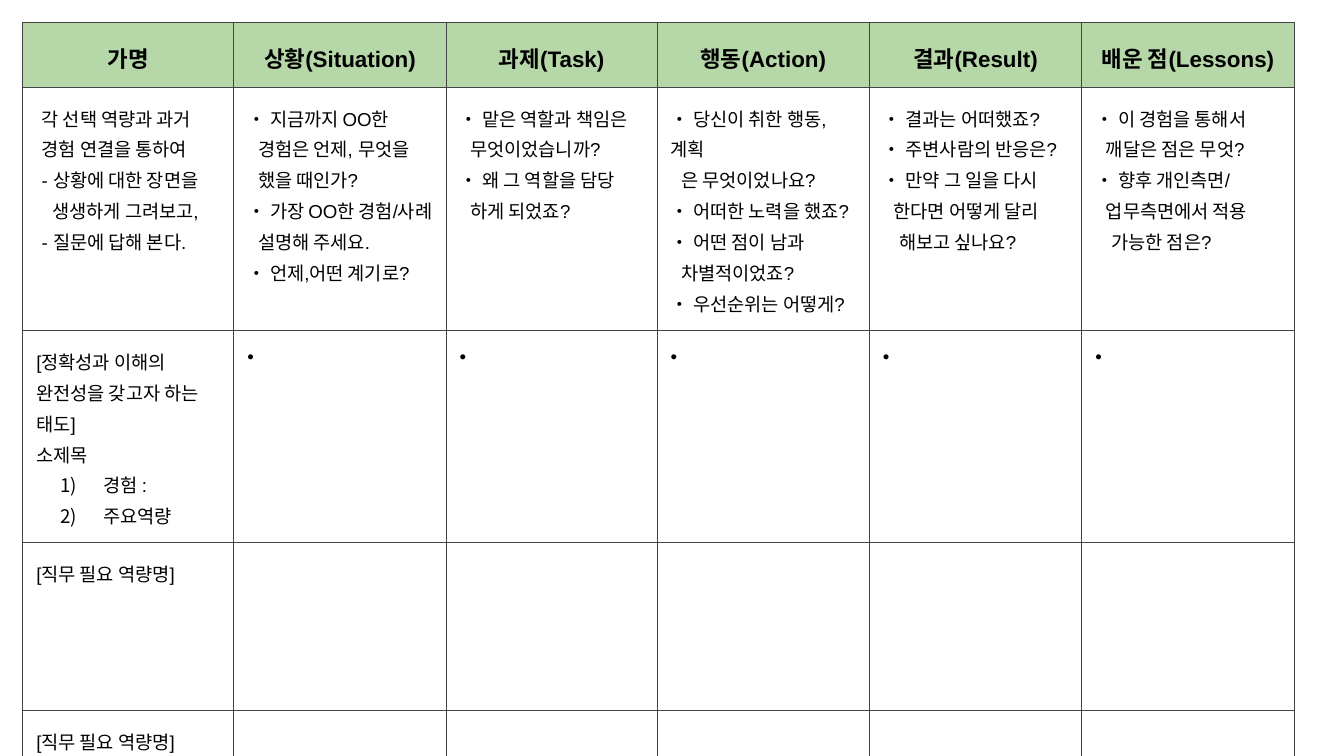
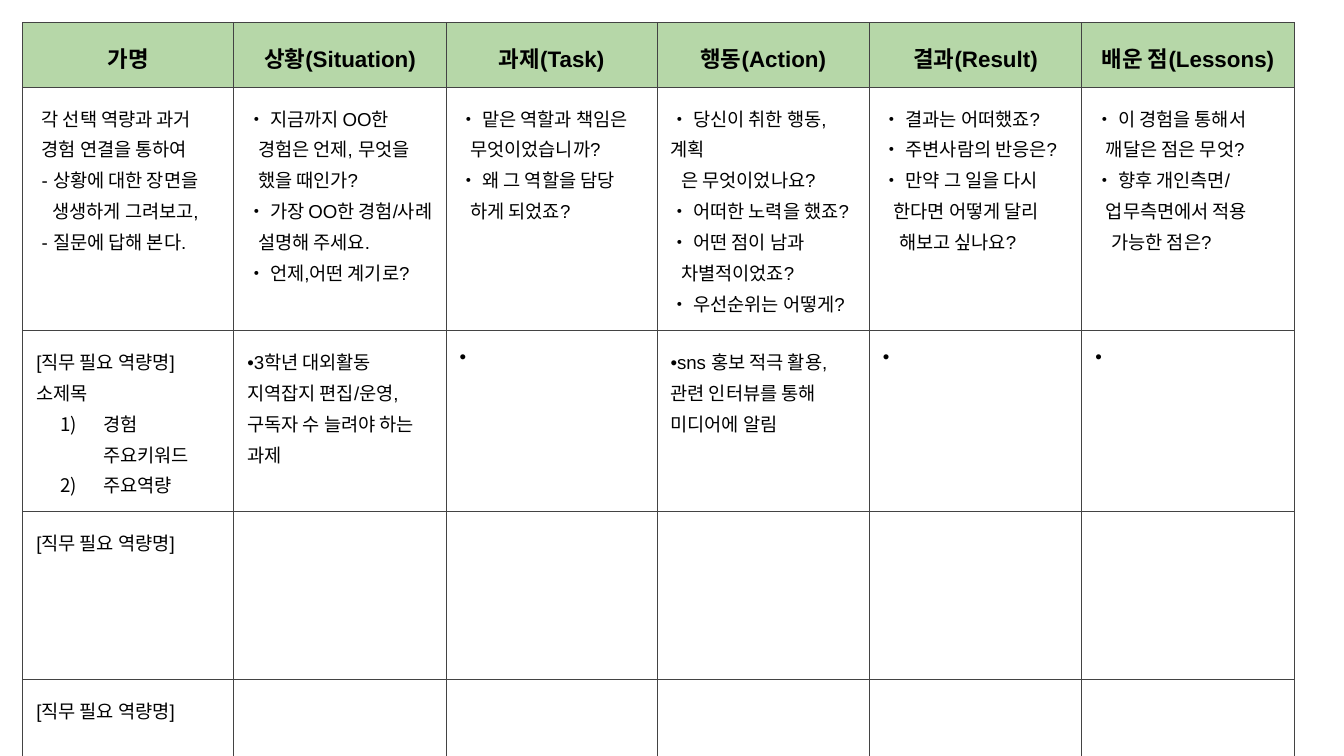
from dataclasses import dataclass

from lxml.etree import SubElement
from pptx import Presentation
from pptx.dml.color import RGBColor
from pptx.enum.text import MSO_ANCHOR, PP_ALIGN
from pptx.oxml import parse_xml
from pptx.oxml.ns import nsdecls, qn
from pptx.util import Inches, Pt


@dataclass(frozen=True)
class Theme:
    font: str = "Arial"
    text: str = "000000"
    header_fill: str = "B6D7A8"
    border: str = "434343"
    border_width: float = 0.75
    header_size: int = 12
    body_size: int = 10
    line_spacing: float = 1.15
    cell_margin: float = 0.1
    indent_step: float = 0.04
    number_margin: float = 0.5
    number_hanging: float = 0.32


THEME = Theme()
NUMBERED = "numbered"

SLIDE_WIDTH = Inches(10)
SLIDE_HEIGHT = SLIDE_WIDTH * 9 // 16
TABLE_ORIGIN = 0.17
COLUMN_WIDTHS = [1.57, 1.58, 1.57, 1.58, 1.58, 1.58]
ROW_HEIGHTS = [0.34, 1.32, 1.07, 1.25, 0.96]

HEADERS = ["가명", "상황(Situation)", "과제(Task)", "행동(Action)",
           "결과(Result)", "배운 점(Lessons)"]

# A line is plain text, or a pair of its indent (steps or NUMBERED) and its text.
GUIDE = [
    [(1, "각 선택 역량과 과거"), (1, "경험 연결을 통하여"), (1, "- 상황에 대한 장면을"),
     (3, "생생하게 그려보고,"), (1, "- 질문에 답해 본다.")],
    ["• 지금까지 OO한", (2, "경험은 언제, 무엇을"), (2, "했을 때인가?"),
     "• 가장 OO한 경험/사례", (2, "설명해 주세요."), "• 언제,어떤 계기로?"],
    ["• 맡은 역할과 책임은", (2, "무엇이었습니까?"),
     "• 왜 그 역할을 담당", (2, "하게 되었죠?")],
    ["• 당신이 취한 행동,계획", (2, "은 무엇이었나요?"), "• 어떠한 노력을 했죠?",
     "• 어떤 점이 남과", (2, "차별적이었죠?"), "• 우선순위는 어떻게?"],
    ["• 결과는 어떠했죠?", "• 주변사람의 반응은?", "• 만약 그 일을 다시",
     (2, "한다면 어떻게 달리"), (3, "해보고 싶나요?")],
    ["• 이 경험을 통해서", (2, "깨달은 점은 무엇?"), "• 향후 개인측면/",
     (2, "업무측면에서 적용"), (3, "가능한 점은?")],
]
COMPETENCY = "[직무 필요 역량명]"
OPEN_ROW = [[COMPETENCY]] + [[]] * 5
OPEN_ANSWER = ["•"]

EXPERIENCES = [
    [["[정확성과 이해의 완전성을 갖고자 하는 태도]", "소제목",
      (NUMBERED, "경험 :"), (NUMBERED, "주요역량")]] + [OPEN_ANSWER] * 5,
    [[COMPETENCY, "소제목", (NUMBERED, "경험 주요키워드"), (NUMBERED, "주요역량")],
     ["•3학년 대외활동 지역잡지 편집/운영, 구독자 수 늘려야 하는 과제"],
     OPEN_ANSWER,
     ["•sns 홍보 적극 활용, 관련 인터뷰를 통해 미디어에 알림"],
     OPEN_ANSWER, OPEN_ANSWER],
]


def indent_paragraph(paragraph, indent):
    properties = paragraph._p.get_or_add_pPr()
    if indent == NUMBERED:
        properties.set("marL", str(Inches(THEME.number_margin)))
        properties.set("indent", str(-Inches(THEME.number_hanging)))
        color = SubElement(properties, qn("a:buClr"))
        SubElement(color, qn("a:srgbClr"), val=THEME.text)
        SubElement(properties, qn("a:buAutoNum"), type="arabicParenR")
    elif indent:
        properties.set("marL", str(Inches(indent * THEME.indent_step)))


def format_run(run, is_header):
    font = run.font
    font.name = THEME.font
    font.size = Pt(THEME.header_size if is_header else THEME.body_size)
    font.bold = is_header
    font.color.rgb = RGBColor.from_string(THEME.text)


def write_lines(text_frame, lines, is_header):
    for index, line in enumerate(lines):
        indent, text = line if isinstance(line, tuple) else (0, line)
        paragraph = text_frame.add_paragraph() if index else text_frame.paragraphs[0]
        paragraph.text = text
        indent_paragraph(paragraph, indent)
        paragraph.line_spacing = THEME.line_spacing
        paragraph.alignment = PP_ALIGN.CENTER if is_header else PP_ALIGN.LEFT
        format_run(paragraph.runs[0], is_header)


def style_cell(cell, is_header):
    margin = Inches(THEME.cell_margin)
    cell.margin_left = cell.margin_right = margin
    cell.margin_top = cell.margin_bottom = margin
    cell.vertical_anchor = MSO_ANCHOR.TOP
    if is_header:
        cell.fill.solid()
        cell.fill.fore_color.rgb = RGBColor.from_string(THEME.header_fill)
    else:
        cell.fill.background()
    properties = cell._tc.get_or_add_tcPr()
    for position, side in enumerate("LRTB"):
        properties.insert(position, parse_xml(
            f'<a:ln{side} {nsdecls("a")} w="{Pt(THEME.border_width)}"><a:solidFill>'
            f'<a:srgbClr val="{THEME.border}"/></a:solidFill></a:ln{side}>'))


def add_experience_slide(presentation, experience):
    slide = presentation.slides.add_slide(presentation.slide_layouts[6])
    rows = [[[header] for header in HEADERS], GUIDE, experience, OPEN_ROW, OPEN_ROW]
    origin = Inches(TABLE_ORIGIN)
    table = slide.shapes.add_table(
        len(rows), len(HEADERS), origin, origin,
        Inches(sum(COLUMN_WIDTHS)), Inches(sum(ROW_HEIGHTS))).table
    table.first_row = table.horz_banding = False
    for column, width in zip(table.columns, COLUMN_WIDTHS):
        column.width = Inches(width)
    for row_index, (row, height, contents) in enumerate(zip(table.rows, ROW_HEIGHTS, rows)):
        row.height = Inches(height)
        is_header = row_index == 0
        for cell, lines in zip(row.cells, contents):
            style_cell(cell, is_header)
            write_lines(cell.text_frame, lines, is_header)


def main():
    presentation = Presentation()
    presentation.slide_width = SLIDE_WIDTH
    presentation.slide_height = SLIDE_HEIGHT
    for experience in EXPERIENCES:
        add_experience_slide(presentation, experience)
    presentation.save("out.pptx")


if __name__ == "__main__":
    main()
